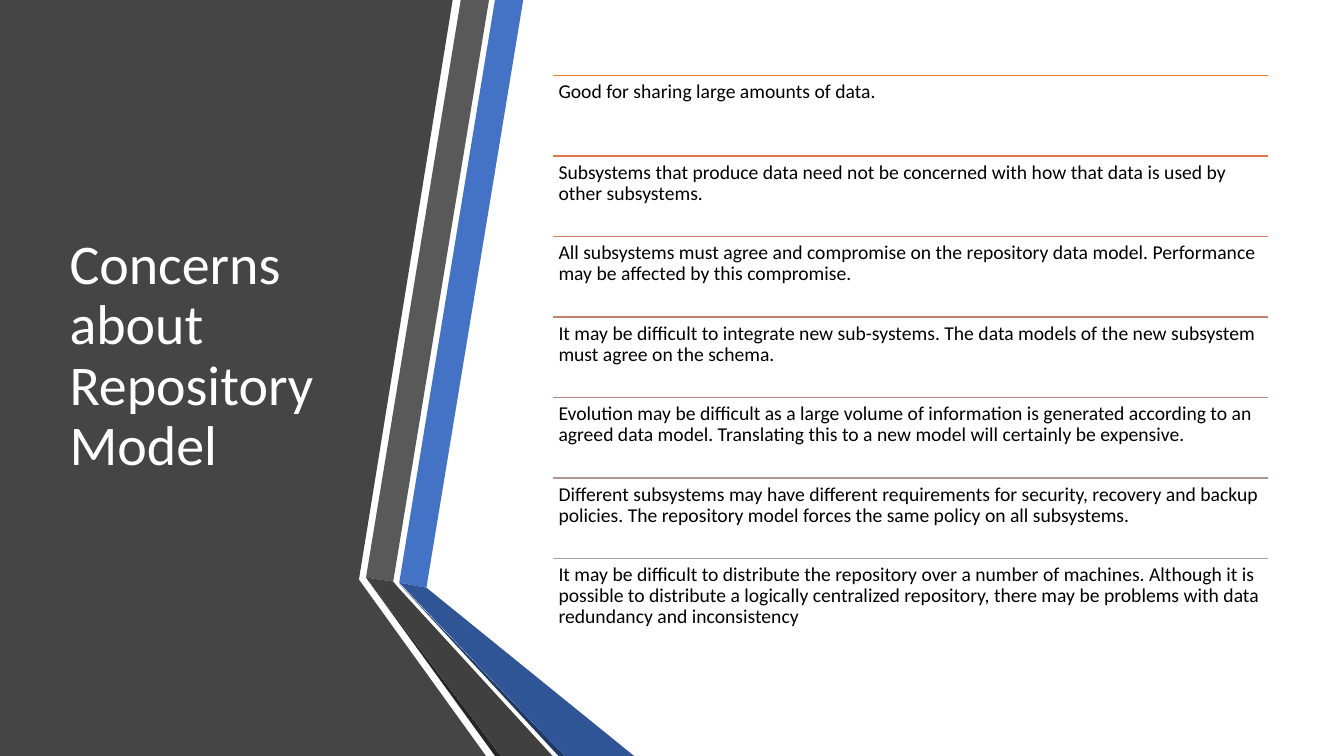
from pptx import Presentation
from pptx.dml.color import RGBColor
from pptx.enum.shapes import MSO_CONNECTOR
from pptx.enum.text import MSO_ANCHOR, MSO_AUTO_SIZE, PP_ALIGN
from pptx.oxml.ns import qn
from pptx.util import Inches, Pt
from lxml.etree import SubElement

TITLE = "Concerns about Repository Model"
FONT = "Calibri"

# (rule colour, text)
CONCERNS = [
    ("ED7D31", "Good for sharing large amounts of data."),
    ("DE7A47", "Subsystems that produce data need not be concerned with how that "
               "data is used by other subsystems."),
    ("D17B5C", "All subsystems must agree and compromise on the repository data "
               "model. Performance may be affected by this compromise."),
    ("C48170", "It may be difficult to integrate new sub-systems. The data models "
               "of the new subsystem must agree on the schema."),
    ("B98A82", "Evolution may be difficult as a large volume of information is "
               "generated according to an agreed data model. Translating this to a "
               "new model will certainly be expensive."),
    ("AE9694", "Different subsystems may have different requirements for security, "
               "recovery and backup policies. The repository model forces the same "
               "policy on all subsystems."),
    ("A5A5A5", "It may be difficult to distribute the repository over a number of "
               "machines. Although it is possible to distribute a logically "
               "centralized repository, there may be problems with data redundancy "
               "and inconsistency"),
]

# (fill colour, corners in inches), back to front
DARK_PANEL = ("454545", [(0, 0), (4.49, 0), (3.56, 5.75), (4.82, 7.5), (0, 7.5)])
RIBBONS = [
    ("4472C4", [(3.96, 5.78), (4.23, 5.83), (5.19, 0), (4.91, 0)]),
    ("595959", [(4.85, 0), (4.57, 0), (3.63, 5.73), (3.9, 5.77)]),
    ("262626", [(3.63, 5.73), (4.91, 7.5), (4.97, 7.5)]),
    ("203864", [(3.96, 5.79), (5.54, 7.5), (5.6, 7.5)]),
    ("2F5597", [(3.96, 5.78), (5.6, 7.5), (6.29, 7.5), (4.23, 5.83)]),
    ("404040", [(3.63, 5.73), (4.97, 7.5), (5.48, 7.5), (3.95, 5.83), (3.9, 5.77)]),
]

LIST_LEFT, LIST_TOP, LIST_WIDTH, LIST_HEIGHT = 5.48, 0.75, 7.1, 5.59
ROW_HEIGHT = LIST_HEIGHT / len(CONCERNS)
INSET = Inches(0.06)


def color(value):
    return RGBColor.from_string(value)


def style_text(para, size, text_color):
    para.alignment = PP_ALIGN.LEFT
    para.line_spacing = 0.9
    para.font.name = FONT
    para.font.size = Pt(size)
    para.font.color.rgb = color(text_color)


def add_polygon(page, fill, corners):
    start, *rest = [(Inches(x), Inches(y)) for x, y in corners]
    builder = page.shapes.build_freeform(*start)
    builder.add_line_segments(rest, close=True)
    polygon = builder.convert_to_shape()
    polygon.shadow.inherit = False
    polygon.fill.solid()
    polygon.fill.fore_color.rgb = color(fill)
    polygon.line.fill.background()


def add_title(page):
    title = page.shapes.title
    page.shapes.element.append(title.element)  # bring in front of the dark panel
    title.left, title.top = Inches(0.59), Inches(0.75)
    title.width, title.height = Inches(3.04), Inches(5.58)
    frame = title.text_frame
    frame.text = TITLE
    frame.word_wrap = True
    frame.auto_size = MSO_AUTO_SIZE.NONE
    frame.vertical_anchor = MSO_ANCHOR.MIDDLE
    style_text(frame.paragraphs[0], 40, "FFFFFF")


def add_concern(page, top, rule_color, text):
    left, width = Inches(LIST_LEFT), Inches(LIST_WIDTH)
    rule = page.shapes.add_connector(
        MSO_CONNECTOR.STRAIGHT, left, top, left + width, top)
    rule.line.color.rgb = color(rule_color)
    rule.line.width = Pt(1)
    SubElement(rule.element.spPr, qn("a:effectLst"))

    box = page.shapes.add_textbox(left, top, width, Inches(ROW_HEIGHT))
    frame = box.text_frame
    frame.word_wrap = True
    frame.margin_left = frame.margin_right = INSET
    frame.margin_top = frame.margin_bottom = INSET
    frame.text = text
    style_text(frame.paragraphs[0], 14, "000000")


def main():
    deck = Presentation()
    deck.slide_width, deck.slide_height = Inches(13.33), Inches(7.5)
    page = deck.slides.add_slide(deck.slide_layouts.get_by_name("Title Only"))

    for fill, corners in [DARK_PANEL, *RIBBONS]:
        add_polygon(page, fill, corners)
    add_title(page)
    for row, (rule_color, text) in enumerate(CONCERNS):
        add_concern(page, Inches(LIST_TOP + row * ROW_HEIGHT), rule_color, text)

    deck.save("out.pptx")


if __name__ == "__main__":
    main()
